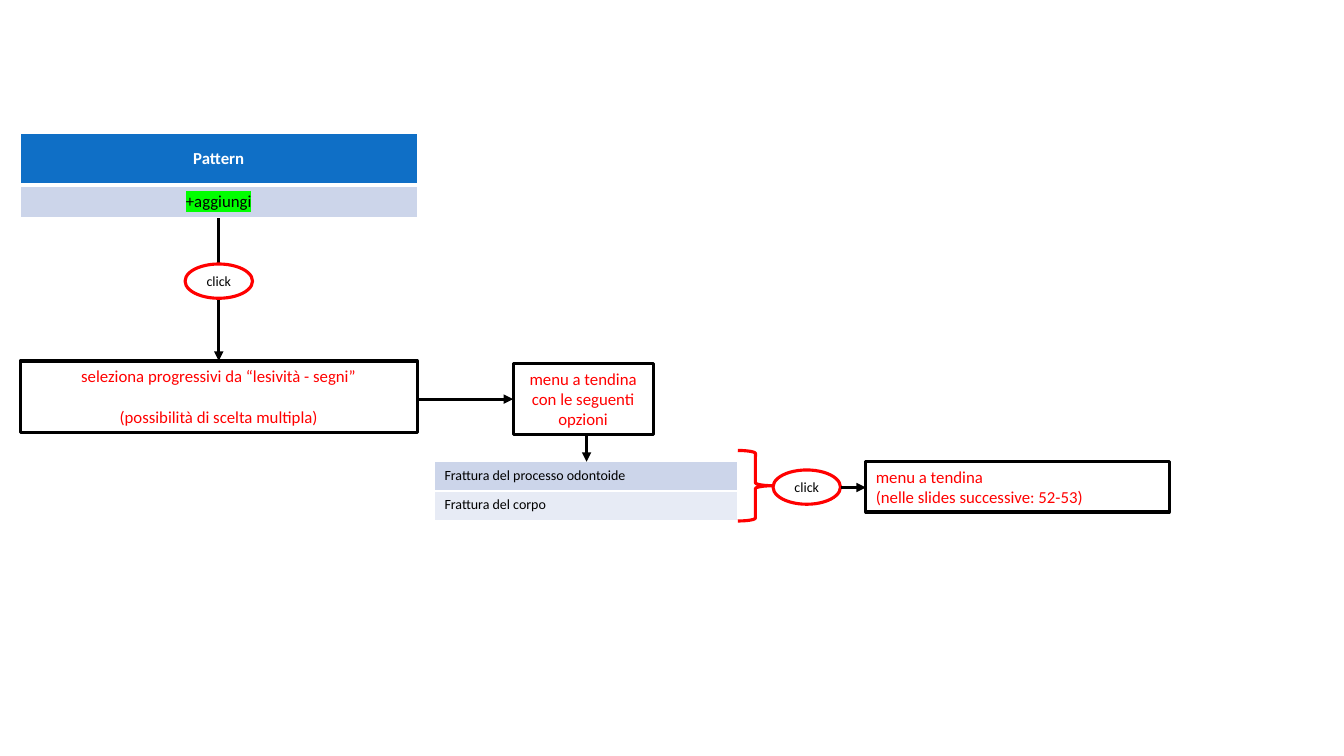
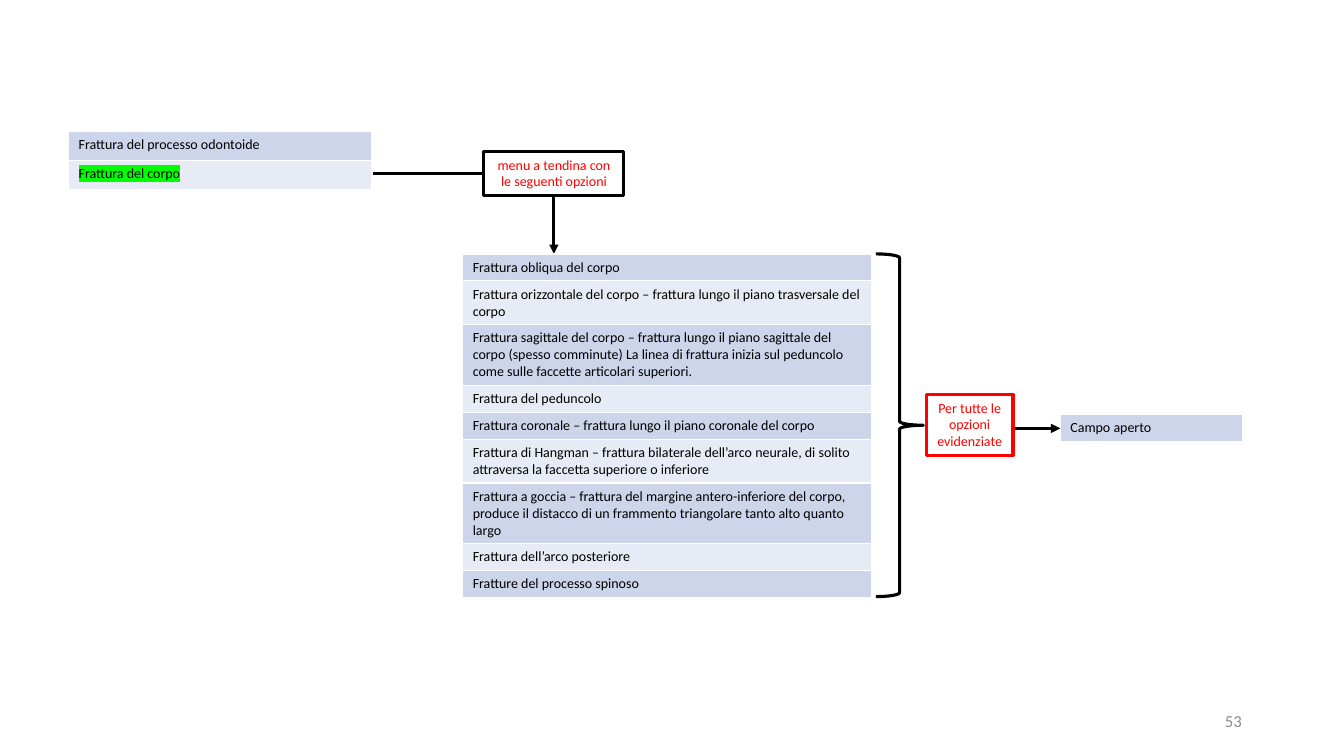
"""Build two flowchart slides on vertebral fracture patterns."""
from dataclasses import dataclass
from itertools import cycle

from lxml import etree
from pptx import Presentation
from pptx.dml.color import RGBColor
from pptx.enum.shapes import MSO_CONNECTOR, MSO_SHAPE
from pptx.enum.text import MSO_ANCHOR, PP_ALIGN
from pptx.oxml.ns import qn
from pptx.util import Pt

BLACK = RGBColor(0x00, 0x00, 0x00)
WHITE = RGBColor(0xFF, 0xFF, 0xFF)
RED = RGBColor(0xFF, 0x00, 0x00)
GREEN = RGBColor(0x00, 0xFF, 0x00)
BLUE = RGBColor(0x0F, 0x6F, 0xC6)
BAND_DARK = RGBColor(0xCC, 0xD5, 0xEA)
BAND_LIGHT = RGBColor(0xE7, 0xEB, 0xF5)
GREY = RGBColor(0x8C, 0x8C, 0x8C)

LEFT, CENTER, RIGHT = PP_ALIGN.LEFT, PP_ALIGN.CENTER, PP_ALIGN.RIGHT
TOP, MIDDLE = MSO_ANCHOR.TOP, MSO_ANCHOR.MIDDLE
RECT, OVAL, BRACE = MSO_SHAPE.RECTANGLE, MSO_SHAPE.OVAL, MSO_SHAPE.RIGHT_BRACE
STRAIGHT, ELBOW = MSO_CONNECTOR.STRAIGHT, MSO_CONNECTOR.ELBOW

FONT = "Calibri"
LINE_WIDTH = 2.25
BORDER = 1
HEADER_GAP = 3
OPTION_HEIGHT = 20.9
OPTION_WIDTH = 216.7
PATTERN_LEFT, PATTERN_WIDTH = 14.4, 283.7
BOX_WIDTH = 100.1
CLICK_WIDTH, CLICK_HEIGHT = 48.2, 24.5


@dataclass
class Style:
    size: float = 10
    color: RGBColor = BLACK
    align: PP_ALIGN = LEFT
    anchor: MSO_ANCHOR = TOP
    bold: bool = False
    highlight: RGBColor | None = None
    gap: float = 0


@dataclass
class Row:
    text: str
    height: float
    fill: RGBColor
    style: Style
    top: float = BORDER
    bottom: float = BORDER


@dataclass
class Node:
    x: float
    y: float
    w: float
    h: float
    lines: tuple[str, ...]
    style: Style
    line: RGBColor = BLACK
    kind: MSO_SHAPE = RECT


BODY = Style()
MARKED = Style(highlight=GREEN)
MIDDLE_BODY = Style(anchor=MIDDLE)
CLICK = Style(align=CENTER, anchor=MIDDLE)
NOTE = Style(12, RED)
NOTE_CENTERED = Style(12, RED, CENTER)
NOTE_SPACED = Style(12, RED, CENTER, gap=14.6)
NOTE_SMALL = Style(10, RED, CENTER)
HEADER = Style(12, WHITE, CENTER, MIDDLE, bold=True)
ADD_BUTTON = Style(12, BLACK, CENTER, MIDDLE, highlight=GREEN)
PAGE_NUMBER = Style(12, GREY, RIGHT, MIDDLE)

FRACTURES = (
    ("Frattura obliqua del corpo", 1),
    ("Frattura orizzontale del corpo – frattura lungo il piano trasversale del corpo", 2),
    ("Frattura sagittale del corpo – frattura lungo il piano sagittale del corpo "
     "(spesso comminute) La linea di frattura inizia sul peduncolo come sulle "
     "faccette articolari superiori.", 3),
    ("Frattura del peduncolo", 1),
    ("Frattura coronale – frattura lungo il piano coronale del corpo", 1),
    ("Frattura di Hangman – frattura bilaterale dell’arco neurale, di solito "
     "attraversa la faccetta superiore o inferiore", 2),
    ("Frattura a goccia – frattura del margine antero-inferiore del corpo, produce "
     "il distacco di un frammento triangolare tanto alto quanto largo", 3),
    ("Frattura dell’arco posteriore", 1),
    ("Fratture del processo spinoso", 1),
)


def write(tf, lines: tuple[str, ...], style: Style) -> None:
    for i, line in enumerate(lines):
        p = tf.add_paragraph() if i else tf.paragraphs[0]
        p.alignment = style.align
        if i:
            p.space_before = Pt(style.gap)
        r = p.add_run()
        r.text = line
        r.font.size = Pt(style.size)
        r.font.bold = style.bold
        r.font.color.rgb = style.color
        r.font.name = FONT
        if style.highlight is not None:
            mark = etree.Element(qn("a:highlight"))
            etree.SubElement(mark, qn("a:srgbClr"), val=str(style.highlight))
            r.font._element.find(qn("a:solidFill")).addnext(mark)


def add_node(s, node: Node) -> None:
    sp = s.shapes.add_shape(node.kind, Pt(node.x), Pt(node.y), Pt(node.w), Pt(node.h))
    sp.shadow.inherit = False
    sp.fill.solid()
    sp.fill.fore_color.rgb = WHITE
    sp.line.color.rgb = node.line
    sp.line.width = Pt(LINE_WIDTH)
    tf = sp.text_frame
    tf.word_wrap = node.kind == RECT
    tf.vertical_anchor = node.style.anchor
    write(tf, node.lines, node.style)


def add_click(s, x: float, y: float) -> None:
    add_node(s, Node(x, y, CLICK_WIDTH, CLICK_HEIGHT, ("click",), CLICK, RED, OVAL))


def add_brace(s, x: float, y: float, w: float, h: float, color: RGBColor) -> None:
    sp = s.shapes.add_shape(BRACE, Pt(x), Pt(y), Pt(w), Pt(h))
    sp.shadow.inherit = False
    sp.fill.background()
    sp.line.color.rgb = color
    sp.line.width = Pt(LINE_WIDTH)


def add_arrow(s, x1: float, y1: float, x2: float, y2: float, bent: bool = False) -> None:
    kind = ELBOW if bent else STRAIGHT
    c = s.shapes.add_connector(kind, Pt(x1), Pt(y1), Pt(x2), Pt(y2))
    c.line.color.rgb = BLACK
    c.line.width = Pt(LINE_WIDTH)
    sp_pr = c._element.spPr
    etree.SubElement(sp_pr.find(qn("a:ln")), qn("a:tailEnd"), type="triangle")
    etree.SubElement(sp_pr, qn("a:effectLst"))
    if bent:
        sp_pr.find(qn("a:prstGeom")).set("prst", "bentConnector2")


def set_borders(cell, top: float, bottom: float) -> None:
    tc_pr = cell._tc.get_or_add_tcPr()
    sides = (("a:lnL", BORDER), ("a:lnR", BORDER), ("a:lnT", top), ("a:lnB", bottom))
    for i, (tag, width) in enumerate(sides):
        ln = etree.Element(qn(tag), w=str(Pt(width)))
        fill = etree.SubElement(ln, qn("a:solidFill"))
        etree.SubElement(fill, qn("a:srgbClr"), val=str(WHITE))
        tc_pr.insert(i, ln)


def add_rows(s, x: float, y: float, w: float, rows: list[Row]) -> None:
    height = sum(row.height for row in rows)
    table = s.shapes.add_table(len(rows), 1, Pt(x), Pt(y), Pt(w), Pt(height)).table
    table.first_row = False
    table.horz_banding = False
    for i, row in enumerate(rows):
        table.rows[i].height = Pt(row.height)
        cell = table.cell(i, 0)
        cell.vertical_anchor = row.style.anchor
        cell.fill.solid()
        cell.fill.fore_color.rgb = row.fill
        set_borders(cell, row.top, row.bottom)
        write(cell.text_frame, (row.text,), row.style)


def add_options(s, x: float, y: float, body_style: Style) -> None:
    add_rows(s, x, y, OPTION_WIDTH, [
        Row("Frattura del processo odontoide", OPTION_HEIGHT, BAND_DARK, BODY),
        Row("Frattura del corpo", OPTION_HEIGHT, BAND_LIGHT, body_style),
    ])


def build_pattern_slide(s) -> None:
    add_node(s, Node(PATTERN_LEFT, 257.8, PATTERN_WIDTH, 51.1,
                     ("seleziona progressivi da “lesività - segni”",
                      "(possibilità di scelta multipla)"), NOTE_SPACED))
    add_options(s, 310.3, 329.8, BODY)
    add_arrow(s, 298.1, 285.1, 366.5, 285.1)
    add_node(s, Node(366.5, 259.9, BOX_WIDTH, 50.4,
                     ("menu a tendina con le seguenti opzioni",), NOTE_CENTERED))
    add_arrow(s, 419, 310.3, 419, 329.8)
    add_node(s, Node(618.5, 329.8, OPTION_WIDTH, 36,
                     ("menu a tendina", "(nelle slides successive: 52-53)"), NOTE))
    add_arrow(s, 156.3, 154.8, 156.3, 257.8)
    add_click(s, 132.2, 188.6)
    add_brace(s, 527, 321.8, 25.2, 50.4, RED)
    add_click(s, 552.2, 335.7)
    add_arrow(s, 600.4, 348.2, 618.5, 348.2)
    add_rows(s, PATTERN_LEFT, 95, PATTERN_WIDTH, [
        Row("Pattern", 37.4, BLUE, HEADER, bottom=HEADER_GAP),
        Row("+aggiungi", 23, BAND_DARK, ADD_BUTTON, top=HEADER_GAP),
    ])


def build_body_slide(s) -> None:
    tb = s.shapes.add_textbox(Pt(678.2), Pt(500.4), Pt(216), Pt(28.8))
    tb.text_frame.word_wrap = True
    tb.text_frame.vertical_anchor = PAGE_NUMBER.anchor
    write(tb.text_frame, ("53",), PAGE_NUMBER)

    add_arrow(s, 265.7, 123.8, 395.6, 181.4, bent=True)
    rows = [Row(text, 7.2 + 12 * lines, fill, MIDDLE_BODY)
            for (text, lines), fill in zip(FRACTURES, cycle((BAND_DARK, BAND_LIGHT)))]
    add_rows(s, 330.5, 181.4, 292.3, rows)
    add_node(s, Node(345.6, 108, BOX_WIDTH, 31.7,
                     ("menu a tendina con le seguenti opzioni",), NOTE_SMALL))
    add_options(s, 49, 93.6, MARKED)
    add_rows(s, 757.4, 295.9, 130.3, [Row("Campo aperto", 19.2, BAND_DARK, BODY)])
    add_arrow(s, 723.6, 306, 757.4, 306)
    add_node(s, Node(661.7, 281.5, 61.9, 43.9,
                     ("Per tutte le opzioni evidenziate",), NOTE_SMALL, RED))
    add_brace(s, 625.7, 181.4, 33.8, 244.8, BLACK)


def main() -> None:
    prs = Presentation()
    prs.slide_width, prs.slide_height = Pt(960), Pt(540)
    blank = prs.slide_layouts[6]
    for build in (build_pattern_slide, build_body_slide):
        build(prs.slides.add_slide(blank))
    prs.save("out.pptx")


if __name__ == "__main__":
    main()
